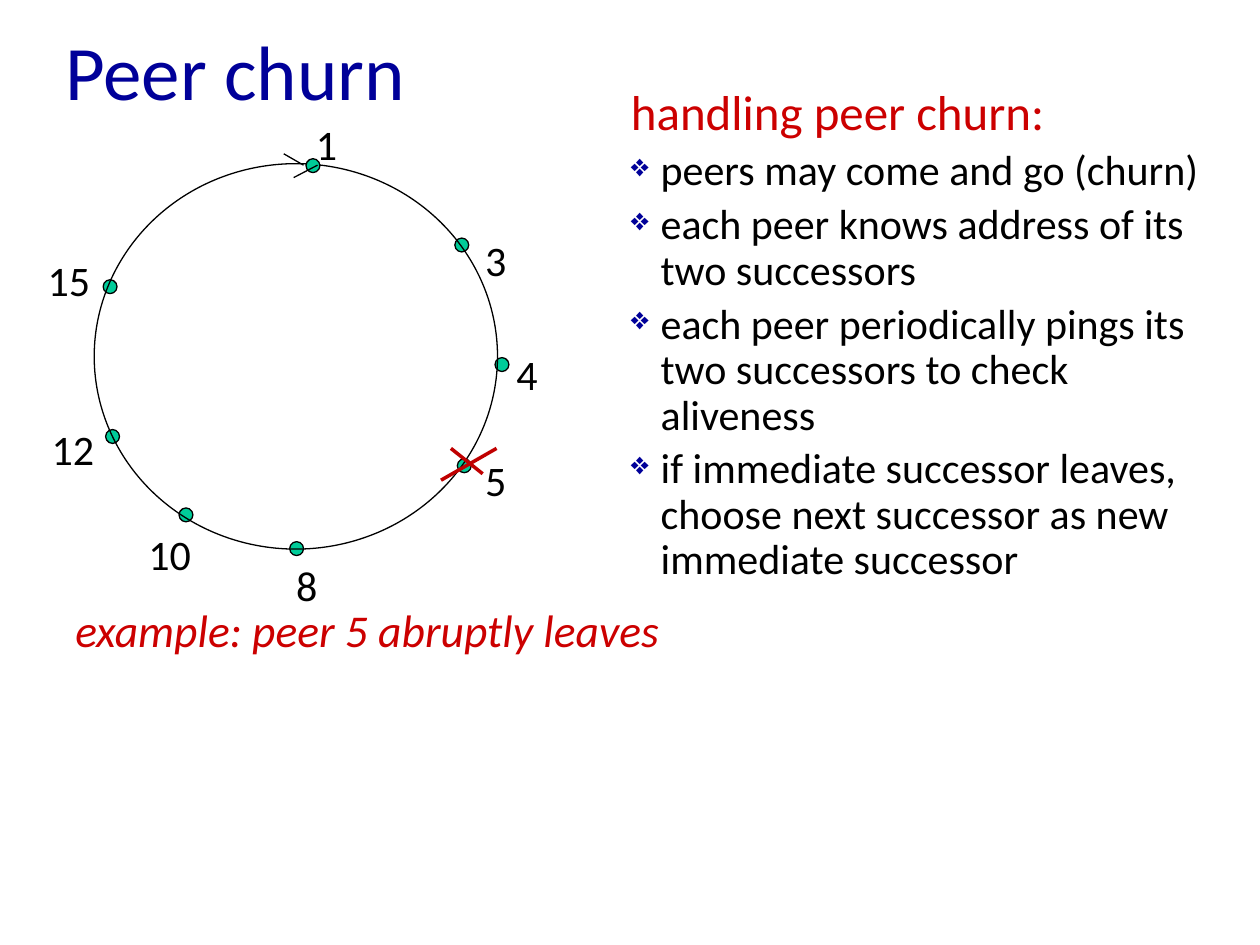
from lxml.etree import SubElement
from pptx import Presentation
from pptx.dml.color import RGBColor
from pptx.enum.shapes import MSO_CONNECTOR, MSO_SHAPE
from pptx.enum.text import MSO_ANCHOR
from pptx.oxml.ns import qn
from pptx.util import Cm, Pt


def color(hex_string):
    return RGBColor.from_string(hex_string)


def add_text(left, top, width, height, lines, size, hex_string, wrap=True):
    frame = slide.shapes.add_textbox(Cm(left), Cm(top), Cm(width), Cm(height)).text_frame
    frame.word_wrap = wrap
    frame.text = "\n".join(lines)
    for paragraph in frame.paragraphs:
        paragraph.font.name = "Calibri"
        paragraph.font.size = Pt(size)
        paragraph.font.color.rgb = color(hex_string)
    return frame


NAVY, RED, BLACK, GREEN = "000099", "CC0000", "000000", "00CC99"
DOT = 0.28

prs = Presentation()
prs.slide_width, prs.slide_height = Cm(25.4), Cm(19.05)
slide = prs.slides.add_slide(prs.slide_layouts[6])

# Title and example caption
title = add_text(1.07, 0, 22.86, 2.82, ["Peer churn"], 44, NAVY)
title.vertical_anchor = MSO_ANCHOR.MIDDLE
example = add_text(1.27, 12.14, 22.86, 5.92, ["example: peer 5 abruptly leaves"], 26, RED)
example.paragraphs[0].font.italic = True
example.paragraphs[0].line_spacing = 0.9

# Peers: label, dot left and top, label left and top
peers = [
    ("8", 5.84, 10.92, 5.72, 11.15),
    ("15", 2.08, 5.64, 0.71, 5.0),
    ("12", 2.13, 8.66, 0.79, 8.41),
    ("3", 9.17, 4.8, 9.53, 4.6),
    ("4", 9.98, 7.21, 10.16, 6.91),
    ("5", 9.22, 9.25, 9.53, 9.04),
    ("10", 3.61, 10.24, 2.74, 10.52),
    ("1", 6.17, 3.2, 6.12, 2.26),
]

# Ring over all dots but the one of peer 1
ellipses = [(x, y, DOT, DOT) for _, x, y, _, _ in peers]
ring = (1.9, 3.3, 8.13, 7.77)
ellipses.insert(-1, ring)
for box in ellipses:
    ellipse = slide.shapes.add_shape(MSO_SHAPE.OVAL, *map(Cm, box))
    ellipse.shadow.inherit = False
    ellipse.line.color.rgb = color(BLACK)
    ellipse.line.width = Pt(0.75)
    if box == ring:
        ellipse.fill.background()
    else:
        ellipse.fill.solid()
        ellipse.fill.fore_color.rgb = color(GREEN)

for label, _, _, left, top in peers:
    add_text(left, top, 0.5 + 0.49 * len(label), 1.27, [label], 24, BLACK, wrap=False)

# Direction mark at peer 1 and cross over peer 5
strokes = [
    (5.72, 3.1, 6.12, 3.33, BLACK, 0.75),
    (6.4, 3.33, 5.92, 3.58, BLACK, 0.75),
    (9.09, 9.04, 9.73, 9.55, "C00000", 2),
    (10.01, 9.04, 8.89, 9.68, "C00000", 2),
]
for *ends, hex_string, width in strokes:
    stroke = slide.shapes.add_connector(MSO_CONNECTOR.STRAIGHT, *map(Cm, ends))
    stroke.line.color.rgb = color(hex_string)
    stroke.line.width = Pt(width)
    SubElement(stroke._element.spPr, qn("a:effectLst"))

# Handling rules
handling = add_text(12.47, 1.52, 12.29, 11.84, [
    "handling peer churn:",
    "peers may come and go (churn)",
    "each peer knows address of its two successors",
    "each peer periodically pings its two successors to check aliveness",
    "if immediate successor leaves, choose next successor as new immediate successor",
], 24, BLACK)
heading, *rules = handling.paragraphs
heading.font.size = Pt(28)
heading.font.color.rgb = color(RED)
for rule in rules:
    rule.line_spacing = Pt(26)
    rule.space_before = Pt(4.8)
    properties = rule._p.get_or_add_pPr()
    properties.set("marL", str(Cm(0.6)))
    properties.set("indent", str(-Cm(0.6)))
    bullet_color = SubElement(properties, qn("a:buClr"))
    SubElement(bullet_color, qn("a:srgbClr"), val=NAVY)
    SubElement(properties, qn("a:buSzPct"), val="75000")
    SubElement(properties, qn("a:buChar"), char="❖")
    # The schema wants the font defaults after the bullet
    properties.append(properties.find(qn("a:defRPr")))

prs.save("out.pptx")
